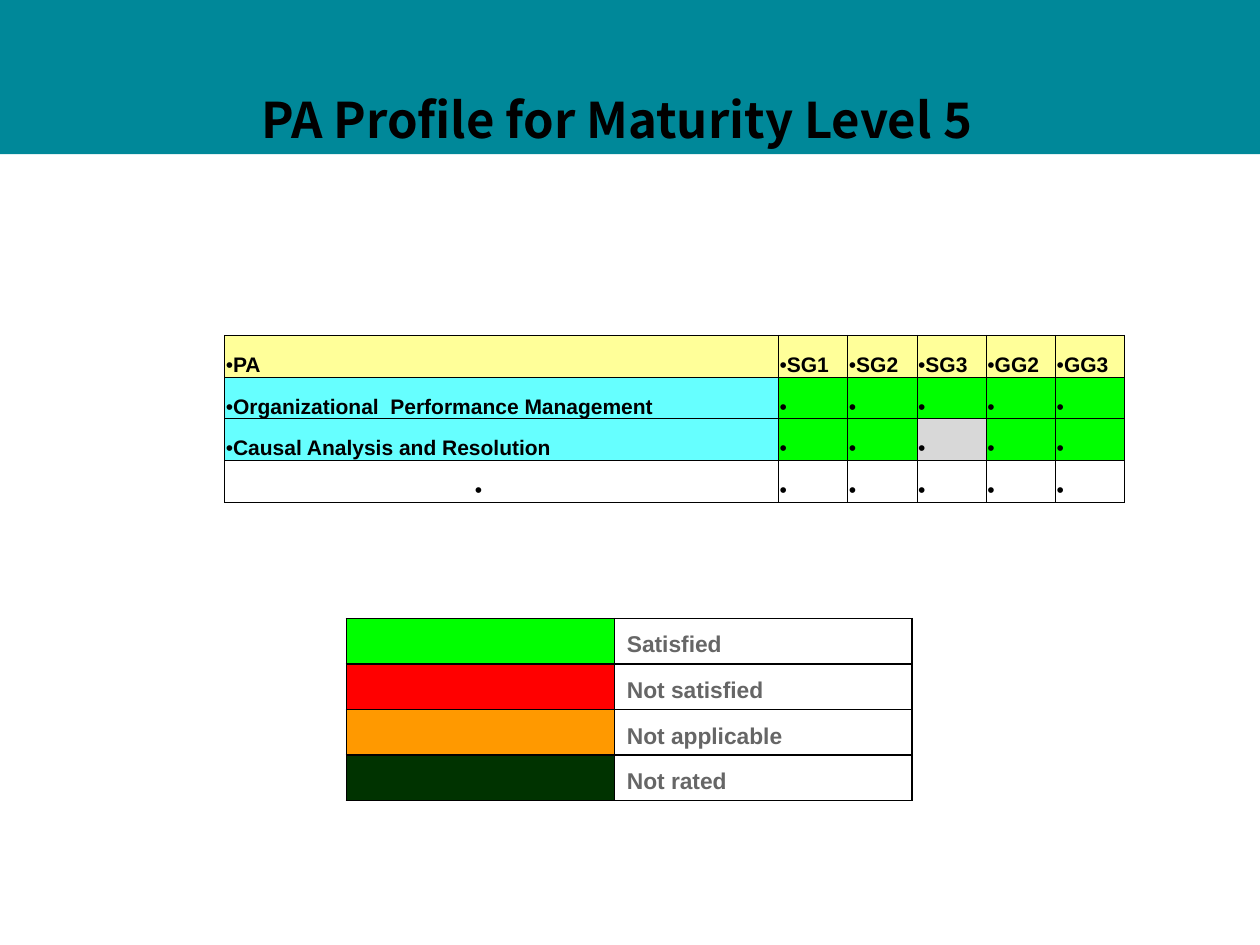
from dataclasses import dataclass
from typing import Optional

from pptx import Presentation
from pptx.dml.color import RGBColor
from pptx.enum.shapes import MSO_SHAPE
from pptx.enum.text import MSO_ANCHOR, PP_ALIGN
from pptx.oxml import parse_xml
from pptx.oxml.ns import nsdecls
from pptx.util import Pt


@dataclass(frozen=True)
class Theme:
    band: str = "008899"
    black: str = "000000"
    legend_text: str = "666666"
    header: str = "FFFF99"
    area: str = "66FFFF"
    satisfied: str = "00FF00"
    not_satisfied: str = "FF0000"
    not_applicable: str = "FF9900"
    not_rated: str = "003300"
    no_goal: str = "D8D8D8"
    title_font: str = "Noto Sans CJK SC"
    body_font: str = "Arial"
    title_size: float = 28
    legend_size: float = 13
    profile_size: float = 12


@dataclass(frozen=True)
class Cell:
    text: str = ""
    fill: Optional[str] = None
    align: PP_ALIGN = PP_ALIGN.LEFT
    hang: float = 0


@dataclass(frozen=True)
class Grid:
    left: float
    top: float
    col_widths: list[float]
    row_height: float
    border: float
    margins: tuple[float, float, float, float]
    size: float
    color: str
    bulleted: bool
    rows: list[list[Cell]]


T = Theme()
GOALS = ["SG1", "SG2", "SG3", "GG2", "GG3"]
MARK = " "  # a cell holding only its bullet


def style_font(p, name: str, size: float, color: str) -> None:
    p.font.name = name
    p.font.size = Pt(size)
    p.font.bold = True
    p.font.color.rgb = RGBColor.from_string(color)


def add_borders(cell, width: float) -> None:
    tc_pr = cell._tc.get_or_add_tcPr()
    for side in "LRTB":
        tc_pr.append(parse_xml(
            f'<a:ln{side} {nsdecls("a")} w="{Pt(width)}"><a:solidFill>'
            f'<a:srgbClr val="{T.black}"/></a:solidFill></a:ln{side}>'))


def add_bullet(p, hang: float) -> None:
    p_pr = p._p.get_or_add_pPr()
    p_pr.set("marL", str(Pt(hang)))
    p_pr.set("indent", str(-Pt(hang)))
    p_pr.append(parse_xml(
        f'<a:buFont {nsdecls("a")} typeface="{T.body_font}"/>'))
    p_pr.append(parse_xml(f'<a:buChar {nsdecls("a")} char="•"/>'))


def fill_cell(cell, item: Cell, grid: Grid) -> None:
    left, top, right, bottom = grid.margins if item.text else (0, 0, 0, 0)
    cell.margin_left, cell.margin_top = Pt(left), Pt(top)
    cell.margin_right, cell.margin_bottom = Pt(right), Pt(bottom)
    cell.vertical_anchor = MSO_ANCHOR.BOTTOM
    add_borders(cell, grid.border)
    if item.fill:
        cell.fill.solid()
        cell.fill.fore_color.rgb = RGBColor.from_string(item.fill)
    else:
        cell.fill.background()
    p = cell.text_frame.paragraphs[0]
    p.alignment = item.align
    if grid.bulleted:
        add_bullet(p, item.hang)
    if item.text:
        p.add_run().text = item.text
    style_font(p, T.body_font, grid.size, grid.color)


def add_grid(s, grid: Grid) -> None:
    n_rows, n_cols = len(grid.rows), len(grid.col_widths)
    table = s.shapes.add_table(
        n_rows, n_cols, Pt(grid.left), Pt(grid.top),
        Pt(sum(grid.col_widths)), Pt(grid.row_height * n_rows)).table
    table.first_row = table.horz_banding = False
    for col, width in zip(table.columns, grid.col_widths):
        col.width = Pt(width)
    for r, items in enumerate(grid.rows):
        table.rows[r].height = Pt(grid.row_height)
        for c, item in enumerate(items):
            fill_cell(table.cell(r, c), item, grid)


def add_band(s, width: float) -> None:
    sp = s.shapes.add_shape(MSO_SHAPE.RECTANGLE, 0, 0, Pt(width), Pt(88))
    sp.shadow.inherit = False
    sp.fill.solid()
    sp.fill.fore_color.rgb = RGBColor.from_string(T.band)
    sp.line.fill.background()


def add_title(s, text: str) -> None:
    tf = s.shapes.add_textbox(Pt(29.5), Pt(47.5), Pt(645), Pt(58.3)).text_frame
    tf.word_wrap = True
    p = tf.paragraphs[0]
    p.alignment = PP_ALIGN.CENTER
    p.add_run().text = text
    style_font(p, T.title_font, T.title_size, T.black)


def profile_row(area: str, ratings: list[str]) -> list[Cell]:
    return [Cell(area, T.area)] + [Cell(MARK, rating) for rating in ratings]


def main() -> None:
    width, height = 719.3, 539.3
    prs = Presentation()
    prs.slide_width, prs.slide_height = Pt(width), Pt(height)
    s = prs.slides.add_slide(prs.slide_layouts[6])
    add_band(s, width)

    # Rating legend
    legend = [("Satisfied", T.satisfied), ("Not satisfied", T.not_satisfied),
              ("Not applicable", T.not_applicable), ("Not rated", T.not_rated)]
    add_grid(s, Grid(
        197.7, 353, [153, 170], 26, 1, (7.2, 3.6, 7.2, 3.6),
        T.legend_size, T.legend_text, False,
        [[Cell(fill=color), Cell(label)] for label, color in legend]))

    add_title(s, "PA Profile for Maturity Level 5")

    # Process area profile
    yes = T.satisfied
    add_grid(s, Grid(
        128.2, 191.4, [316.2] + [39.55] * len(GOALS), 23.8, 0.5,
        (0.7, 0.7, 0.7, 0), T.profile_size, T.black, True,
        [[Cell(name, T.header) for name in ["PA"] + GOALS],
         profile_row("Organizational  Performance Management",
                     [yes] * len(GOALS)),
         profile_row("Causal Analysis and Resolution",
                     [yes, yes, T.no_goal, yes, yes]),
         [Cell(MARK, align=PP_ALIGN.CENTER, hang=27)]
         + [Cell(MARK)] * len(GOALS)]))

    prs.save("out.pptx")


if __name__ == "__main__":
    main()
